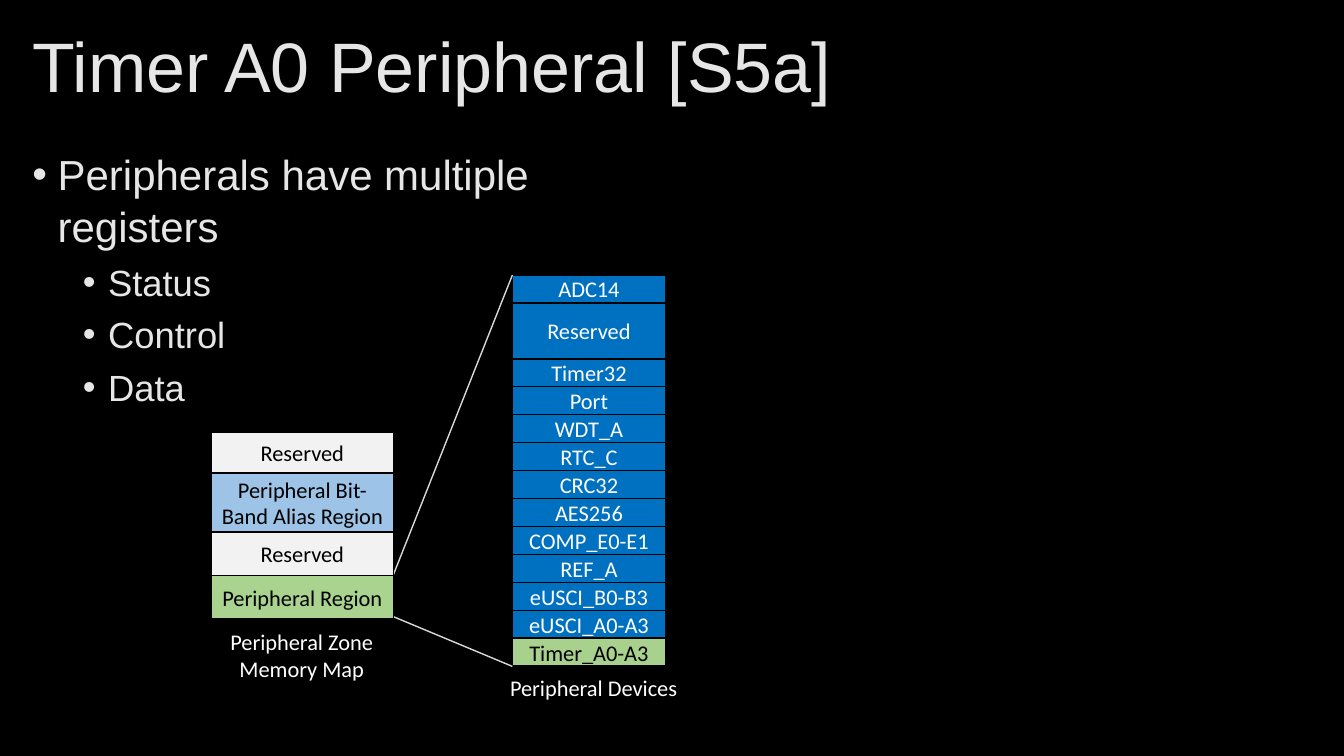
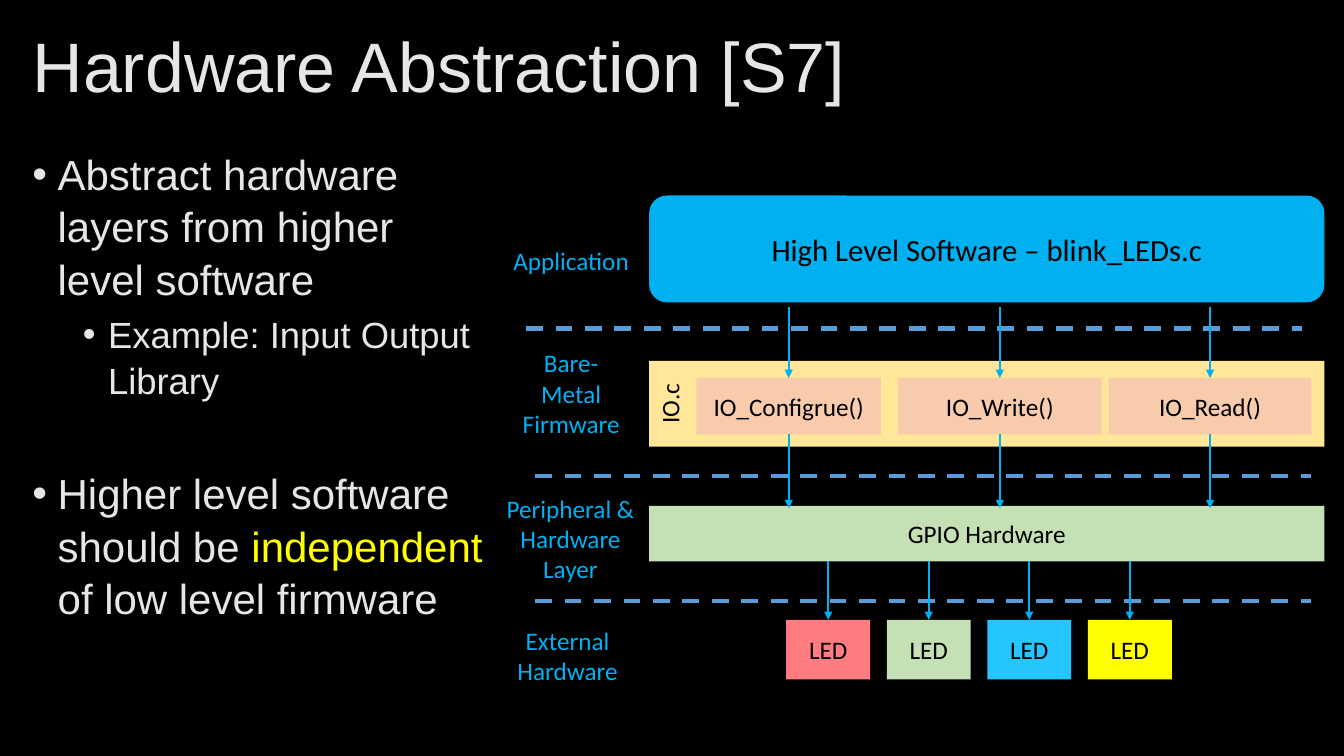
import pptx
import pptx.dml.color
import pptx.enum.dml
import pptx.enum.shapes
import pptx.enum.text
import pptx.oxml.ns
import pptx.util
import lxml.etree

Pt = pptx.util.Pt
SHAPES = pptx.enum.shapes.MSO_SHAPE
ALIGN = pptx.enum.text.PP_ALIGN
ANCHOR = pptx.enum.text.MSO_ANCHOR
qn = pptx.oxml.ns.qn

BLACK, WHITE, PALE = "000000", "FFFFFF", "E7E6E6"
BLUE, SKY, STEEL = "0070C0", "00B0F0", "5B9BD5"
LIGHT_GRAY, GRAY, YELLOW = "F2F2F2", "D9D9D9", "FFFF00"
GREEN, PALE_GREEN = "A9D18E", "C5E0B4"


def color(hex_string):
    return pptx.dml.color.RGBColor.from_string(hex_string)


class SlideWriter:
    """Holds the shared style and the slide being filled."""

    heading_font, label_font = "Arial", "Calibri"
    bullet_sizes, bullet_margins, bullet_gaps = (30, 26), (18, 54), (10, 5)

    def __init__(self):
        self.deck = pptx.Presentation()
        self.deck.slide_width, self.deck.slide_height = Pt(960), Pt(540)
        background = self.deck.slide_master.background.fill
        background.solid()
        background.fore_color.rgb = color(BLACK)
        self.page = None

    def new_page(self, title):
        self.page = self.deck.slides.add_slide(self.deck.slide_layouts[1])
        frame = self.place(self.page.shapes.title, 16, 15, 928, 70)
        frame.vertical_anchor = ANCHOR.MIDDLE
        para = frame.paragraphs[0]
        para.alignment, para.line_spacing = ALIGN.LEFT, 0.9
        self.span(para, title, self.heading_font, 50, PALE)

    def place(self, holder, left, top, width, height):
        holder.left, holder.top = Pt(left), Pt(top)
        holder.width, holder.height = Pt(width), Pt(height)
        frame = holder.text_frame
        frame.auto_size = pptx.enum.text.MSO_AUTO_SIZE.NONE
        frame.word_wrap = True
        return frame

    def span(self, para, text, font, size, ink):
        span = para.add_run()
        span.text = text
        span.font.name, span.font.size = font, Pt(size)
        span.font.color.rgb = color(ink)

    def bullets(self, width, height, items):
        """Each item is (level, extra space before, [(text, colour), ...])."""
        frame = self.place(self.page.placeholders[1], 16, 101, width, height)
        for index, (level, extra, spans) in enumerate(items):
            para = frame.add_paragraph() if index else frame.paragraphs[0]
            para.level, para.line_spacing = level, 1.04
            para.space_before = Pt(self.bullet_gaps[level] + extra)
            properties = para._p.get_or_add_pPr()
            properties.set("marL", str(Pt(self.bullet_margins[level])))
            properties.set("indent", str(Pt(-18)))
            lxml.etree.SubElement(properties, qn("a:buFont")).set("typeface", "Arial")
            lxml.etree.SubElement(properties, qn("a:buChar")).set("char", "•")
            for text, ink in spans:
                self.span(para, text, self.heading_font, self.bullet_sizes[level], ink)

    def centered(self, frame, lines, size, ink):
        for index, line in enumerate(lines):
            para = frame.add_paragraph() if index else frame.paragraphs[0]
            para.alignment = ALIGN.CENTER
            self.span(para, line, self.label_font, size, ink)

    def box(self, left, top, width, height, text, fill, size=18, ink=BLACK,
            outline=None, kind=SHAPES.RECTANGLE):
        box = self.page.shapes.add_shape(kind, Pt(left), Pt(top), Pt(width), Pt(height))
        box.shadow.inherit = False
        box.fill.solid()
        box.fill.fore_color.rgb = color(fill)
        if outline:
            box.line.color.rgb, box.line.width = color(outline), Pt(1)
        else:
            box.line.fill.background()
        box.text_frame.word_wrap = True
        box.text_frame.vertical_anchor = ANCHOR.MIDDLE
        self.centered(box.text_frame, [text], size, ink)
        return box

    def stack(self, left, top, width, rows):
        """Boxes on top of one another; a row is (text, height, fill, ink)."""
        for text, height, fill, ink in rows:
            self.box(left, top, width, height, text, fill, 16, ink, BLACK)
            top += height

    def label(self, left, top, width, height, lines, size=18, ink=SKY, wrap=True):
        label = self.page.shapes.add_textbox(Pt(left), Pt(top), Pt(width), Pt(height))
        label.text_frame.word_wrap = wrap
        self.centered(label.text_frame, lines, size, ink)

    def line(self, start, end, ink, width, dashed=False, arrow=False,
             from_box=None, to_box=None):
        line = self.page.shapes.add_connector(
            pptx.enum.shapes.MSO_CONNECTOR.STRAIGHT, *map(Pt, start + end))
        line.line.color.rgb, line.line.width = color(ink), Pt(width)
        if dashed:
            line.line.dash_style = pptx.enum.dml.MSO_LINE.DASH
        properties = line._element.spPr
        if arrow:
            head = lxml.etree.SubElement(properties.find(qn("a:ln")), qn("a:tailEnd"))
            head.set("type", "triangle")
        lxml.etree.SubElement(properties, qn("a:effectLst"))
        if from_box is not None:
            line.begin_connect(from_box, 2)
        if to_box is not None:
            line.end_connect(to_box, 0)

    def arrow(self, x, top, bottom, **joins):
        self.line((x, top), (x, bottom), SKY, 1.5, arrow=True, **joins)


def timer_page(writer):
    writer.new_page("Timer A0 Peripheral [S5a]")
    writer.bullets(414, 153, [
        (0, 0, [("Peripherals have multiple registers", PALE)]),
        *[(1, 0, [(name, PALE)]) for name in ("Status", "Control", "Data")]])

    # Peripheral devices
    unit = 19.95
    devices = ["ADC14", "Reserved", "Timer32", "Port", "WDT_A", "RTC_C", "CRC32",
               "AES256", "COMP_E0-E1", "REF_A", "eUSCI_B0-B3", "eUSCI_A0-A3"]
    rows = [(name, unit * (2 if name == "Reserved" else 1), BLUE, WHITE)
            for name in devices]
    writer.stack(366, 196.5, 109.4, rows + [("Timer_A0-A3", unit, GREEN, BLACK)])
    writer.label(356.5, 478, 135, 27, ["Peripheral Devices"], 16, WHITE, wrap=False)

    # Zoom lines from the region to its devices
    writer.line((281, 410.5), (366, 196.5), GRAY, 1)
    writer.line((281, 440.5), (366, 476), GRAY, 1)

    # Memory map
    writer.stack(151, 309, 130, [
        ("Reserved", 29, LIGHT_GRAY, BLACK),
        ("Peripheral Bit-Band Alias Region", 42, "9DC3E6", BLACK),
        ("Reserved", 31, LIGHT_GRAY, BLACK),
        ("Peripheral Region", 31, "A9D38E", BLACK)])
    writer.label(155, 445, 121, 46, ["Peripheral Zone", "Memory Map"], 16, WHITE,
                 wrap=False)


def abstraction_page(writer):
    writer.new_page("Hardware Abstraction [S7]")
    writer.bullets(341, 340, [
        (0, 0, [("Abstract hardware layers from higher level software", PALE)]),
        (1, 0, [("Example: Input Output Library", PALE)]),
        (0, 36, [("Higher level software should be ", PALE), ("independent", YELLOW),
                 (" of low level firmware", PALE)])])

    # Layers
    left, width = 463.7, 482.4
    writer.box(left, 139.7, width, 76.3, "High Level Software – blink_LEDs.c", SKY, 22,
               kind=SHAPES.ROUNDED_RECTANGLE)
    firmware = writer.box(left, 257.8, width, 61.2, "IO.c", "FFE699")
    firmware.text_frame.vertical_anchor = ANCHOR.TOP
    firmware.text_frame._txBody.bodyPr.set("vert", "vert270")
    writer.box(left, 361.4, width, 39.6, "GPIO Hardware", PALE_GREEN)

    # Layer names and the dashed lines between them
    for x, y, name_width, height, lines in [
            (354, 171.4, 108, 29, ["Application"]),
            (362, 244.8, 92, 73, ["Bare-Metal", "Firmware"]),
            (353.5, 348.5, 108, 73, ["Peripheral & Hardware Layer"]),
            (351.4, 442.8, 108, 51, ["External Hardware"])]:
        writer.label(x, y, name_width, height, lines)
    for x, y in [(375.8, 234.7), (382.3, 340.2), (382.3, 429.5)]:
        writer.line((x, y), (x + 554.4, y), STEEL, 3, dashed=True)

    # Library functions with calls in and out
    for x, box_width, name in [(497.5, 131.8, "IO_Configrue()"),
                               (641.5, 145.4, "IO_Write()"),
                               (792, 144.7, "IO_Read()")]:
        function = writer.box(x, 270, box_width, 40.3, name, "F8CBAD")
        middle = x + box_width / 2
        writer.arrow(middle, 219, 270, to_box=function)
        writer.arrow(middle, 310.3, 363, from_box=function)

    # LEDs
    for index, fill in enumerate(["FF7C80", PALE_GREEN, "25C6FF", YELLOW]):
        x = 561.6 + 71.8 * index
        led = writer.box(x, 442.8, 60, 42.5, "LED", fill)
        writer.arrow(x + 30, 401, 442.8, to_box=led)


def main():
    writer = SlideWriter()
    timer_page(writer)
    abstraction_page(writer)
    writer.deck.save("out.pptx")


if __name__ == "__main__":
    main()
